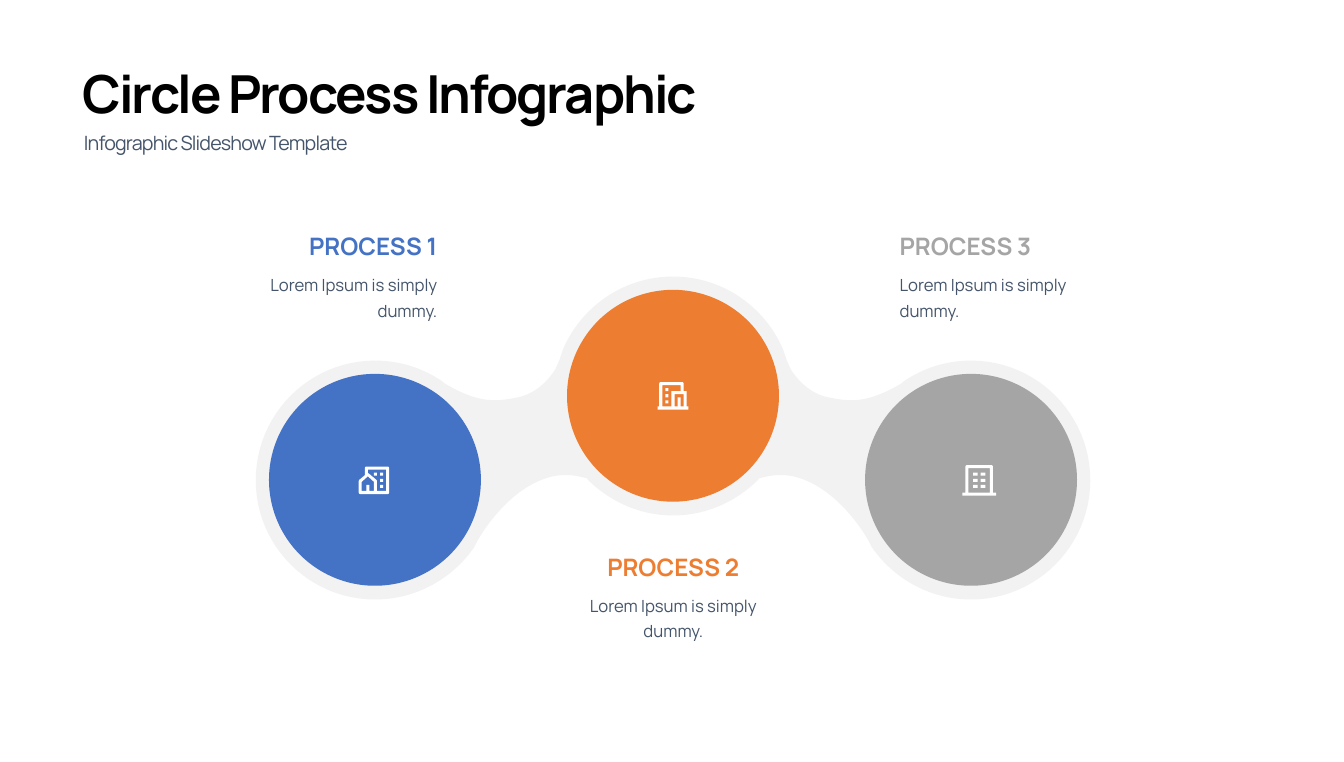
from dataclasses import dataclass

from pptx import Presentation
from pptx.dml.color import RGBColor
from pptx.enum.shapes import MSO_SHAPE
from pptx.enum.text import MSO_ANCHOR, PP_ALIGN
from pptx.util import Inches, Pt


@dataclass(frozen=True)
class Theme:
    font: str = "Manrope"
    black: str = "000000"
    slate: str = "44546A"
    band: str = "F2F2F2"
    white: str = "FFFFFF"
    blue: str = "4472C4"
    orange: str = "ED7D31"
    gray: str = "A5A5A5"
    title: float = 74
    subtitle: float = 27.8
    heading: float = 34
    body: float = 23.7


theme = Theme()

prs = Presentation()
prs.slide_width, prs.slide_height = Inches(26.38), Inches(14.96)
slide = prs.slides.add_slide(prs.slide_layouts[5])
shapes = slide.shapes


def write(box, text, size, color, align=PP_ALIGN.LEFT, bold=False, leading=None, tracking=0):
    """Fill a box with one styled paragraph; leading and tracking are in points."""
    frame = box.text_frame
    frame.text = text
    frame.word_wrap = True
    frame.vertical_anchor = MSO_ANCHOR.TOP
    paragraph = frame.paragraphs[0]
    paragraph.alignment = align
    if leading:
        paragraph.line_spacing = Pt(leading)
    run = paragraph.runs[0]
    run.font.name, run.font.size, run.font.bold = theme.font, Pt(size), bold
    run.font.color.rgb = RGBColor.from_string(color)
    if tracking:
        run._r.get_or_add_rPr().set("spc", str(round(tracking * 100)))


def draw_outline(contours, color, left=0, top=0, unit=1):
    """Draw closed contours as one shape; inner contours become holes."""
    placed = [[(Inches(left + x * unit), Inches(top + y * unit)) for x, y in contour]
              for contour in contours]
    builder = shapes.build_freeform(*placed[0][0])
    builder.add_line_segments(placed[0][1:])
    for contour in placed[1:]:
        builder.move_to(*contour[0])
        builder.add_line_segments(contour[1:])
    outline = builder.convert_to_shape()
    outline.fill.solid()
    outline.fill.fore_color.rgb = RGBColor.from_string(color)
    outline.line.fill.background()
    outline.shadow.inherit = False


# Title and subtitle
title = shapes.title
title.left, title.top, title.width, title.height = map(Inches, (1.52, 1.07, 20.24, 1.38))
write(title, "Circle Process Infographic", theme.title, theme.black,
      bold=True, leading=94, tracking=-2.9)
subtitle = shapes.add_textbox(*map(Inches, (1.55, 2.4, 19.24, 0.65)))
write(subtitle, "Infographic Slideshow Template", theme.subtitle, theme.slate,
      leading=42, tracking=-1.2)

# Band: the left half runs from top centre to bottom centre, then is mirrored.
# A step of one point is a line, a step of three is a Bézier curve.
band_center = 13.21
band_steps = [
    [(12.24, 5.43), (11.41, 6.02), (11.05, 6.86)],
    [(10.98, 7.07)],
    [(10.9, 7.25)],
    [(10.73, 7.52), (10.47, 7.74), (10.17, 7.8)],
    [(9.81, 7.87), (9.49, 7.94), (8.87, 7.61)],
    [(8.73, 7.53)],
    [(8.67, 7.48)],
    [(8.3, 7.23), (7.85, 7.08), (7.36, 7.08)],
    [(6.07, 7.08), (5.02, 8.13), (5.02, 9.43)],
    [(5.02, 10.72), (6.07, 11.77), (7.36, 11.77)],
    [(8.17, 11.77), (8.88, 11.36), (9.31, 10.74)],
    [(9.38, 10.6)],
    [(9.48, 10.44)],
    [(10.12, 9.49), (10.78, 9.34), (11.01, 9.33)],
    [(11.13, 9.32), (11.27, 9.33), (11.39, 9.36)],
    [(11.52, 9.39)],
    [(11.55, 9.43)],
    [(11.98, 9.85), (12.56, 10.12), (13.21, 10.12)],
]
curve_parts = 24
left_half = [(band_center, 5.43)]
for step in band_steps:
    if len(step) == 1:
        left_half += step
        continue
    controls = [left_half[-1], *step]
    for part in range(1, curve_parts + 1):
        t = part / curve_parts
        weights = ((1 - t) ** 3, 3 * t * (1 - t) ** 2, 3 * t ** 2 * (1 - t), t ** 3)
        left_half.append(tuple(sum(w * point[axis] for w, point in zip(weights, controls))
                               for axis in (0, 1)))
right_half = [(2 * band_center - x, y) for x, y in reversed(left_half[1:-1])]
draw_outline([left_half + right_half], theme.band)

# Building icons on a grid of small units: contours, then corners of the windows
house_contours = [
    [(1, 18), (0.3, 17.7), (0, 17), (0, 9.4), (0.4, 8.7), (4, 5.7), (4, 1), (4.3, 0.3), (5, 0),
     (19, 0), (19.7, 0.3), (20, 1), (20, 17), (19.7, 17.7), (19, 18)],
    [(7, 16), (10, 16), (10, 10), (6, 6.4), (2, 10), (2, 16), (5, 16), (5, 12), (7, 12)],
    [(12, 16), (18, 16), (18, 2), (6, 2), (6, 4.3), (6.6, 4.5), (11.6, 8.7), (12, 9.4)],
]
office_contours = [
    [(0, 18), (0, 16), (1, 16), (1, 1), (1.3, 0.3), (2, 0), (16, 0), (16.7, 0.3), (17, 1),
     (17, 6), (19, 6), (19, 16), (20, 16), (20, 18)],
    [(15, 16), (17, 16), (17, 8), (11, 8), (11, 16), (13, 16), (13, 10), (15, 10)],
    [(15, 6), (15, 2), (3, 2), (3, 16), (9, 16), (9, 6)],
]
tower_contours = [
    [(0, 20), (0, 18), (2, 18), (2, 1), (2.3, 0.3), (3, 0), (19, 0), (19.7, 0.3), (20, 1),
     (20, 18), (22, 18), (22, 20)],
    [(4, 2), (18, 2), (18, 18), (4, 18)],
]
house_windows = [(14, 4), (14, 8), (14, 12), (10, 4)]
office_windows = [(5, 4), (5, 8), (5, 12)]
tower_windows = [(x, y) for x in (7, 12) for y in (5, 9, 13)]

# Number, colour, circle corner, icon corner, contours, windows, window width, text corner, align
processes = [
    (1, theme.blue, (5.28, 7.34), (7.04, 9.16), house_contours, house_windows, 2,
     (4.29, 4.49), PP_ALIGN.RIGHT),
    (2, theme.orange, (11.13, 5.69), (12.91, 7.5), office_contours, office_windows, 2,
     (11.02, 10.79), PP_ALIGN.CENTER),
    (3, theme.gray, (16.98, 7.34), (18.89, 9.13), tower_contours, tower_windows, 3,
     (17.56, 4.49), PP_ALIGN.LEFT),
]
for (number, color, circle_corner, icon_corner, contours, windows, window_width,
     (text_left, text_top), align) in processes:
    circle = shapes.add_shape(MSO_SHAPE.OVAL, *map(Inches, (*circle_corner, 4.16, 4.16)))
    circle.fill.solid()
    circle.fill.fore_color.rgb = RGBColor.from_string(color)
    circle.line.fill.background()
    circle.shadow.inherit = False

    panes = [[(x, y), (x + window_width, y), (x + window_width, y + 2), (x, y + 2)]
             for x, y in windows]
    draw_outline(contours + panes, theme.white, *icon_corner, unit=0.03)

    heading = shapes.add_textbox(*map(Inches, (text_left, text_top, 4.39, 0.67)))
    write(heading, f"PROCESS {number}", theme.heading, color, align, bold=True)
    body = shapes.add_textbox(*map(Inches, (text_left, text_top + 0.75, 4.39, 1.08)))
    write(body, "Lorem Ipsum is simply dummy.", theme.body, theme.slate, align, leading=36)

prs.save("out.pptx")
